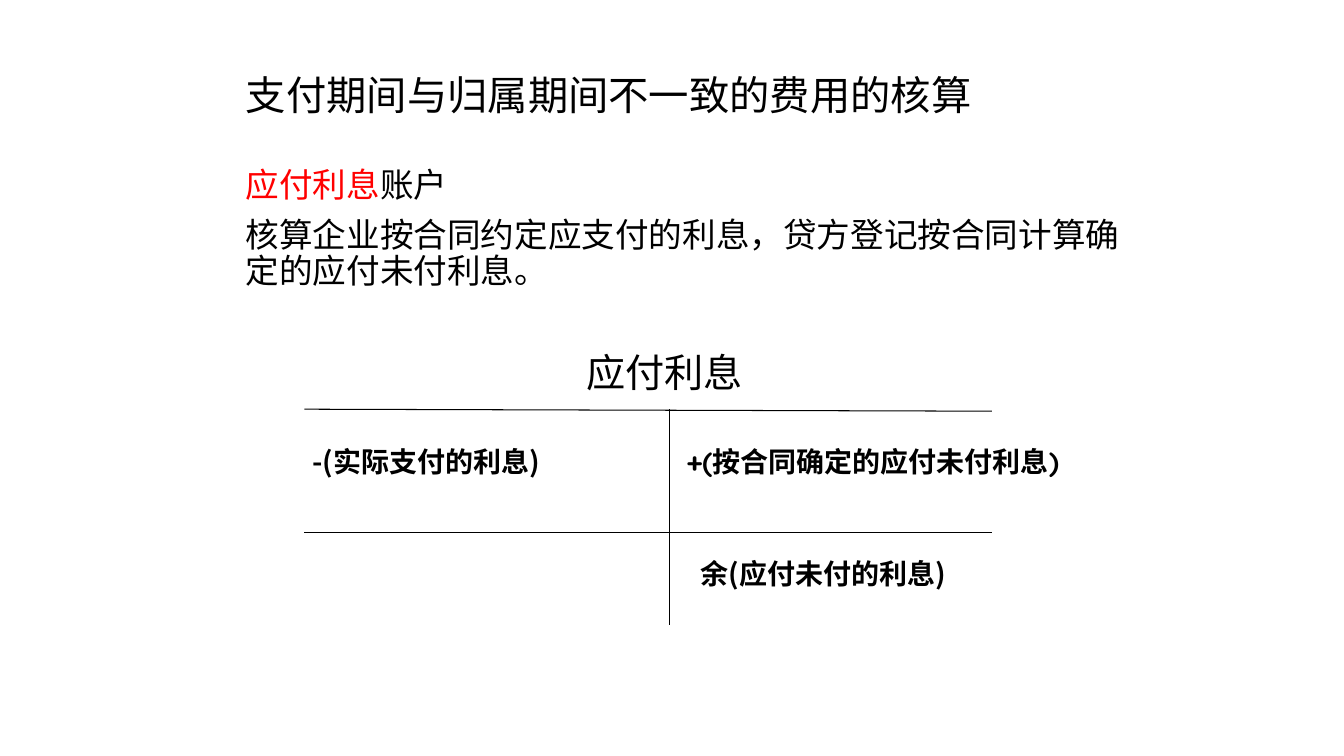
from dataclasses import dataclass

from lxml.etree import SubElement
from pptx import Presentation
from pptx.dml.color import RGBColor
from pptx.enum.shapes import MSO_CONNECTOR as Conn
from pptx.enum.text import MSO_ANCHOR as Anchor
from pptx.oxml.ns import qn
from pptx.util import Pt

BLACK = RGBColor(0x00, 0x00, 0x00)
RED = RGBColor(0xFF, 0x00, 0x00)
CJK = "Noto Sans CJK SC"


@dataclass
class Label:
    paragraphs: list[str]
    left: float
    top: float
    width: float
    height: float
    size: float
    font: str = CJK
    bold: bool = False
    spacing: float = 1.0
    gap: float = 0
    anchor: Anchor = Anchor.TOP
    highlight: str = ""


@dataclass
class Rule:
    x1: float
    y1: float
    x2: float
    y2: float


def add_label(slide, label: Label) -> None:
    sp = slide.shapes.add_textbox(
        Pt(label.left), Pt(label.top), Pt(label.width), Pt(label.height))
    tf = sp.text_frame
    tf.word_wrap = True
    tf.vertical_anchor = label.anchor
    for i, text in enumerate(label.paragraphs):
        p = tf.paragraphs[0] if i == 0 else tf.add_paragraph()
        p.line_spacing = label.spacing
        if i:
            p.space_before = Pt(label.gap)
        p.font.name = label.font
        p.font.size = Pt(label.size)
        p.font.bold = label.bold
        p.font.color.rgb = BLACK
        # East Asian characters need their own typeface entry
        SubElement(p.font._element, qn("a:ea")).set("typeface", CJK)
        if label.highlight and text.startswith(label.highlight):
            r = p.add_run()
            r.text = label.highlight
            r.font.color.rgb = RED
            text = text.removeprefix(label.highlight)
        p.add_run().text = text


def add_rule(slide, rule: Rule) -> None:
    line = slide.shapes.add_connector(
        Conn.STRAIGHT, Pt(rule.x1), Pt(rule.y1), Pt(rule.x2), Pt(rule.y2))
    line.line.color.rgb = BLACK
    line.line.width = Pt(0.75)
    SubElement(line._element.spPr, qn("a:effectLst"))


# Heading and explanation
TEXTS = [
    Label(["支付期间与归属期间不一致的费用的核算"], 168.5, 37.4, 540, 64.8, 28.8,
          spacing=0.9, anchor=Anchor.MIDDLE),
    Label(["应付利息账户",
           "核算企业按合同约定应支付的利息，贷方登记按合同计算确定的应付未付利息。"],
          168.5, 116.6, 652.3, 278, 24, spacing=0.9, gap=10, highlight="应付利息"),
]

# T-account: name, debit, credit and balance
LEFT, MIDDLE, RIGHT = 217.4, 478.1, 708.5
TOP, BALANCE, BOTTOM = 292.3, 380.2, 446.4
ENTRY_TOP = 313.9
ACCOUNT = [
    Label(["应付利息"], 411.8, 245.5, 187.2, 41, 28),
    Label(["-(实际支付的利息)"], 216, ENTRY_TOP, 265, 31.7, 20, bold=True),
    Label(["+(按合同确定的应付未付利息)"], 483.1, ENTRY_TOP, 318.2, 31.7, 20,
          font="Quicksand", bold=True),
    Label(["余(应付未付的利息)"], 493.2, 393.8, 265, 31.7, 20, bold=True),
]
RULES = [
    Rule(LEFT, TOP, RIGHT, TOP + 1.4),
    Rule(MIDDLE, TOP, MIDDLE, BOTTOM),
    Rule(LEFT, BALANCE, RIGHT, BALANCE),
]


def main() -> None:
    prs = Presentation()
    prs.slide_width, prs.slide_height = Pt(960), Pt(540)
    slide = prs.slides.add_slide(prs.slide_layouts[6])
    for label in TEXTS + ACCOUNT:
        add_label(slide, label)
    for rule in RULES:
        add_rule(slide, rule)
    prs.save("out.pptx")


if __name__ == "__main__":
    main()
